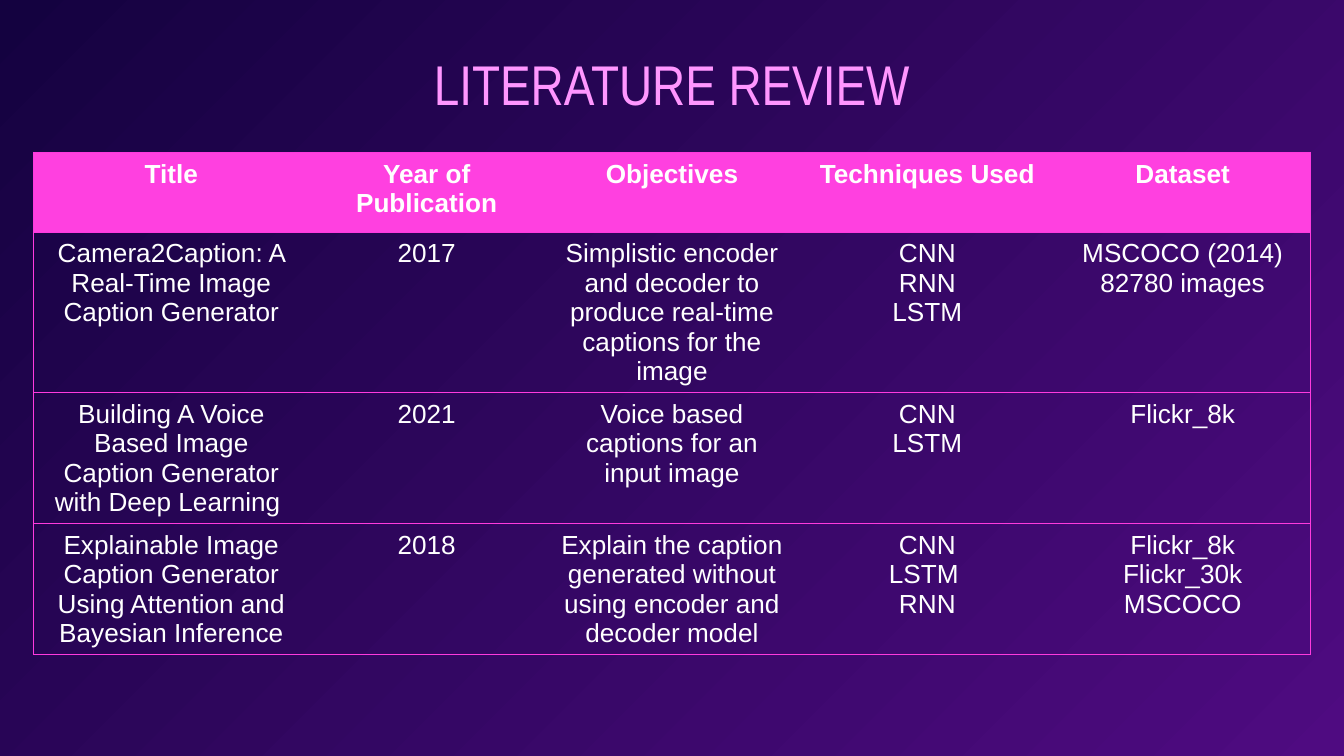
from lxml.etree import SubElement
from pptx import Presentation
from pptx.dml.color import RGBColor
from pptx.enum.text import MSO_ANCHOR, MSO_AUTO_SIZE, PP_ALIGN
from pptx.oxml.ns import qn
from pptx.util import Pt

PX = 4572  # EMU per px, 200 px to the inch
SLIDE_SIZE = (2000, 1125)
TITLE_BOX = (160, 55, 1680, 138)
TABLE_BOX = (50, 227, 1900, 747)
COLORS = {
    "night": "140240",
    "violet": "4F0B81",
    "title": "FF96FF",
    "header": "FF40E0",
    "border": "FE3ADE",
    "text": "FFFFFF",
}
COLUMN_WIDTHS = [410, 350, 380, 380, 380]
ROW_HEIGHTS = [119, 238, 195, 195]
PAPERS = [
    ["Title", "Year of Publication", "Objectives", "Techniques Used", "Dataset"],
    ["Camera2Caption: A Real-Time Image Caption Generator", "2017",
     "Simplistic encoder and decoder to produce real-time captions for the image",
     "CNN\nRNN\nLSTM", "MSCOCO (2014) 82780 images"],
    ["Building A Voice Based Image Caption Generator with Deep Learning ", "2021",
     "Voice based captions for an input image", "CNN\nLSTM", "Flickr_8k"],
    ["Explainable Image Caption Generator Using Attention and Bayesian Inference", "2018",
     "Explain the caption generated without using encoder and decoder model",
     "CNN\nLSTM \nRNN", "Flickr_8k\nFlickr_30k\nMSCOCO"],
]


def emu(box):
    return [length * PX for length in box]


def rgb(name):
    return RGBColor.from_string(COLORS[name])


def format_text(text_frame, font_name, size, color, bold=False):
    for paragraph in text_frame.paragraphs:
        paragraph.alignment = PP_ALIGN.CENTER
        for run in paragraph.runs:
            run.font.name = font_name
            run.font.size = Pt(size)
            run.font.bold = bold
            run.font.color.rgb = rgb(color)


def paint_background(slide):
    fill = slide.background.fill
    fill.gradient()
    fill.gradient_angle = 315
    for stop, color in zip(fill.gradient_stops, ("night", "violet")):
        stop.color.rgb = rgb(color)


def place_title(slide, box):
    title = slide.shapes.title
    title.left, title.top, title.width, title.height = emu(box)
    frame = title.text_frame
    frame.text = "LITERATURE REVIEW"
    frame.auto_size = MSO_AUTO_SIZE.NONE
    frame.vertical_anchor = MSO_ANCHOR.MIDDLE
    frame.margin_left = frame.margin_right = 20 * PX
    frame.margin_top = frame.margin_bottom = 20 * PX
    format_text(frame, "Arial Narrow", 30, "title")


def set_borders(cell, drawn_sides):
    """Draw the named sides (of L, R, T, B) and clear the others."""
    properties = cell._tc.get_or_add_tcPr()
    for side in "LRTB":
        line = SubElement(properties, qn(f"a:ln{side}"), w=str(Pt(0.75)))
        if side in drawn_sides:
            fill = SubElement(line, qn("a:solidFill"))
            SubElement(fill, qn("a:srgbClr"), val=COLORS["border"])
        else:
            SubElement(line, qn("a:noFill"))


def place_papers_table(slide, box):
    table = slide.shapes.add_table(len(PAPERS), len(COLUMN_WIDTHS), *emu(box)).table
    table.horz_banding = False
    for column, width in zip(table.columns, COLUMN_WIDTHS):
        column.width = width * PX
    for row, height in zip(table.rows, ROW_HEIGHTS):
        row.height = height * PX

    last_column = len(COLUMN_WIDTHS) - 1
    for row_index, paper in enumerate(PAPERS):
        is_header = row_index == 0
        for column_index, entry in enumerate(paper):
            cell = table.cell(row_index, column_index)
            cell.text = entry
            format_text(cell.text_frame, "Arial", 14, "text", bold=is_header)
            outer_side = {0: "L", last_column: "R"}.get(column_index, "")
            set_borders(cell, "TB" + outer_side)
            if is_header:
                cell.fill.solid()
                cell.fill.fore_color.rgb = rgb("header")
            else:
                cell.fill.background()


def main():
    presentation = Presentation()
    presentation.slide_width, presentation.slide_height = emu(SLIDE_SIZE)
    slide = presentation.slides.add_slide(presentation.slide_layouts[5])
    paint_background(slide)
    place_title(slide, TITLE_BOX)
    place_papers_table(slide, TABLE_BOX)
    presentation.save("out.pptx")


if __name__ == "__main__":
    main()
